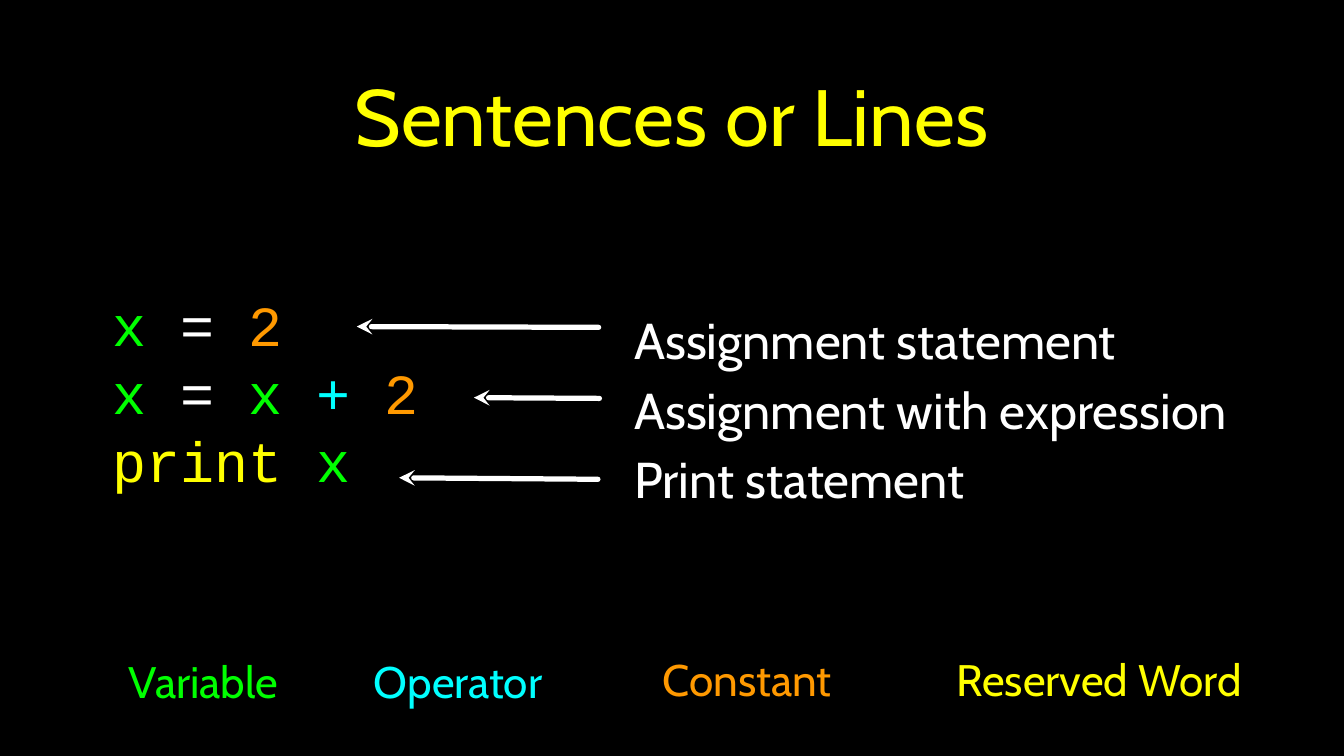
from dataclasses import dataclass

from lxml.etree import SubElement
from pptx import Presentation
from pptx.dml.color import RGBColor as Rgb
from pptx.enum.shapes import MSO_CONNECTOR as Connector
from pptx.enum.text import MSO_ANCHOR as Anchor, MSO_AUTO_SIZE as AutoSize, PP_ALIGN as Align
from pptx.oxml.ns import qn
from pptx.util import Inches, Pt

COLORS = {
    "background": "000000",
    "plain": "FFFFFF",
    "variable": "00FF00",
    "operator": "00FFFF",
    "constant": "FF9900",
    "reserved": "FFFF00",
}


@dataclass
class Span:
    text: str
    color: str


@dataclass
class TextBlock:
    lines: list[list[Span]]
    area: tuple[float, float, float, float]
    size: int
    font: str = "Cabin"
    align: Align = Align.LEFT
    spacing: float = 1.0
    margin: float = 0


@dataclass
class Arrow:
    tip: tuple[float, float]
    tail: tuple[float, float]


def color_of(name: str) -> Rgb:
    return Rgb.from_string(COLORS[name])


def fill_text(box, block: TextBlock) -> None:
    box.left, box.top, box.width, box.height = map(Inches, block.area)
    frame = box.text_frame
    margin = Inches(block.margin)
    frame_format = {
        "word_wrap": True,
        "auto_size": AutoSize.NONE,
        "vertical_anchor": Anchor.MIDDLE,
        "margin_left": margin,
        "margin_top": margin,
        "margin_right": margin,
        "margin_bottom": margin,
    }
    for name, value in frame_format.items():
        setattr(frame, name, value)
    for index, line in enumerate(block.lines):
        para = frame.add_paragraph() if index else frame.paragraphs[0]
        para.alignment = block.align
        para.line_spacing = block.spacing
        for span in line:
            run = para.add_run()
            run.text = span.text
            for name, value in {"name": block.font, "size": Pt(block.size)}.items():
                setattr(run.font, name, value)
            run.font.color.rgb = color_of(span.color)


def add_text(slide, block: TextBlock) -> None:
    fill_text(slide.shapes.add_textbox(*map(Inches, block.area)), block)


def add_arrow(slide, arrow: Arrow) -> None:
    line = slide.shapes.add_connector(
        Connector.STRAIGHT, *map(Inches, arrow.tip + arrow.tail)
    )
    line.line.width = Pt(5)
    line.line.color.rgb = color_of("plain")
    outline = line.line._get_or_add_ln()
    outline.set("cap", "rnd")
    SubElement(outline, qn("a:headEnd"), type="stealth")
    SubElement(line._element.spPr, qn("a:effectLst"))


TITLE = TextBlock(
    [[Span("Sentences or Lines", "reserved")]],
    (1.26, 0.26, 15.24, 2.51), 76, align=Align.CENTER, margin=0.04,
)
CODE = TextBlock(
    [
        [Span("x ", "variable"), Span("= ", "plain"), Span("2", "constant")],
        [
            Span("x ", "variable"), Span("= ", "plain"), Span("x ", "variable"),
            Span("+ ", "operator"), Span("2", "constant"),
        ],
        [Span("print ", "reserved"), Span("x", "variable")],
    ],
    (1.49, 2.97, 4.78, 4.42), 54, font="Courier New",
)
MEANINGS = TextBlock(
    [
        [Span(text, "plain")]
        for text in ("Assignment statement", "Assignment with expression", "Print statement")
    ],
    (8.39, 3.14, 8.65, 4.42), 48, spacing=1.15,
)
LEGEND = [
    TextBlock([[Span(text, color)]], (left, top, width, 0.79), 42, align=Align.CENTER)
    for text, color, left, top, width in (
        ("Variable", "variable", 1.49, 8.61, 2.4),
        ("Operator", "operator", 4.86, 8.61, 2.4),
        ("Constant", "constant", 8.73, 8.58, 2.31),
        ("Reserved Word", "reserved", 12.63, 8.58, 3.82),
    )
]
ARROWS = [
    Arrow((4.72, 4.32), (7.92, 4.33)),
    Arrow((6.27, 5.26), (7.93, 5.27)),
    Arrow((5.28, 6.32), (7.91, 6.34)),
]


def main() -> None:
    deck = Presentation()
    deck.slide_width, deck.slide_height = Inches(17.78), Inches(10)
    page = deck.slides.add_slide(deck.slide_layouts[5])
    page.background.fill.solid()
    page.background.fill.fore_color.rgb = color_of("background")
    fill_text(page.shapes.title, TITLE)
    for block in [CODE, *LEGEND, MEANINGS]:
        add_text(page, block)
    for arrow in ARROWS:
        add_arrow(page, arrow)
    deck.save("out.pptx")


if __name__ == "__main__":
    main()
